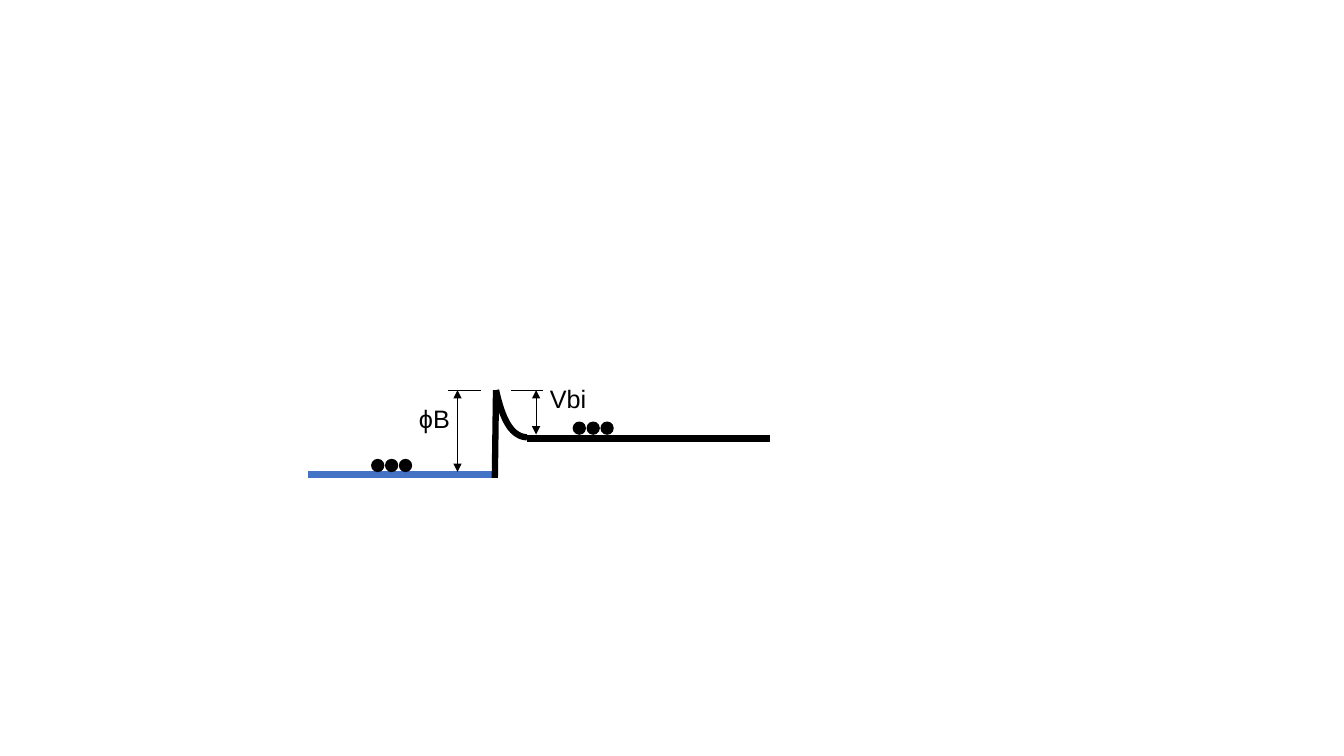
from typing import NamedTuple

from lxml.etree import SubElement
from pptx import Presentation
from pptx.dml.color import RGBColor
from pptx.enum.shapes import MSO_CONNECTOR, MSO_SHAPE
from pptx.enum.text import MSO_AUTO_SIZE
from pptx.oxml.ns import qn
from pptx.shapes.shapetree import GroupShapes
from pptx.util import Cm, Pt

BLACK, BLUE = "000000", "4472C4"
BAND_WIDTH, THIN_WIDTH = 4.5, 0.5
PEAK_Y = 9.83
BAND_Y = 11.05
DOT_SIZE, DOT_PITCH, DOTS_PER_GROUP = 0.3, 0.35, 3
CURVE_STEPS = 40


class Point(NamedTuple):
    x: float
    y: float


class Line(NamedTuple):
    start: Point
    end: Point
    width: float
    color: str = BLACK
    arrows: bool = False


class Label(NamedTuple):
    text: str
    left: float
    top: float
    width: float


PEAK = Point(12.5, PEAK_Y)
BENDING = (Point(13.28, 11.02), Point(12.8, 11), Point(12.62, 10.34), PEAK)

BANDS = [
    Line(Point(13.28, BAND_Y), Point(19.41, BAND_Y), BAND_WIDTH),
    Line(Point(7.77, 11.96), Point(12.52, 11.96), BAND_WIDTH, BLUE),
    Line(PEAK, Point(12.47, 12.04), BAND_WIDTH),
]
DIMENSIONS = [
    Line(Point(12.12, PEAK_Y), Point(11.3, PEAK_Y), THIN_WIDTH),
    Line(Point(13.69, PEAK_Y), Point(12.88, PEAK_Y), THIN_WIDTH),
    Line(Point(11.53, PEAK_Y), Point(11.53, 11.89), THIN_WIDTH, arrows=True),
    Line(Point(13.51, PEAK_Y), Point(13.51, 10.95), THIN_WIDTH, arrows=True),
]
ELECTRON_GROUPS = [Point(9.37, 11.58), Point(14.45, 10.64)]
LABELS = [Label("ϕB", 10.31, 10.03, 1.3), Label("Vbi", 13.61, 9.53, 1.45)]


def rgb(color: str) -> RGBColor:
    return RGBColor.from_string(color)


def draw_line(shapes: GroupShapes, line: Line) -> None:
    s = shapes.add_connector(MSO_CONNECTOR.STRAIGHT, *map(Cm, line.start + line.end))
    s.line.color.rgb = rgb(line.color)
    s.line.width = Pt(line.width)
    if line.arrows:
        ln = s.line._get_or_add_ln()
        for end in ("a:headEnd", "a:tailEnd"):
            SubElement(ln, qn(end), type="triangle")
    SubElement(s._element.spPr, qn("a:effectLst"))


def bezier(t: float) -> tuple[int, int]:
    """Point of the band-bending curve at parameter t, in EMU."""
    u = 1 - t
    weights = (u**3, 3 * u * u * t, 3 * u * t * t, t**3)
    x, y = (sum(w * v for w, v in zip(weights, axis)) for axis in zip(*BENDING))
    return Cm(x), Cm(y)


def draw_bending(shapes: GroupShapes) -> None:
    points = [bezier(i / CURVE_STEPS) for i in range(CURVE_STEPS + 1)]
    builder = shapes.build_freeform(*points[0])
    builder.add_line_segments(points[1:], close=False)
    s = builder.convert_to_shape()
    s.shadow.inherit = False
    s.fill.background()
    s.line.color.rgb = rgb(BLACK)
    s.line.width = Pt(BAND_WIDTH)


def draw_electrons(shapes: GroupShapes, first: Point) -> None:
    for i in range(DOTS_PER_GROUP):
        s = shapes.add_shape(MSO_SHAPE.OVAL, Cm(first.x + i * DOT_PITCH), Cm(first.y),
                             Cm(DOT_SIZE), Cm(DOT_SIZE))
        s.shadow.inherit = False
        s.fill.solid()
        s.fill.fore_color.rgb = rgb(BLACK)
        s.line.color.rgb = rgb(BLACK)
        s.line.width = Pt(1)


def draw_label(shapes: GroupShapes, label: Label) -> None:
    s = shapes.add_textbox(Cm(label.left), Cm(label.top), Cm(label.width), Cm(1.02))
    tf = s.text_frame
    tf.word_wrap = False
    tf.auto_size = MSO_AUTO_SIZE.SHAPE_TO_FIT_TEXT
    p = tf.paragraphs[0]
    p.text = label.text
    p.font.name = "Arial"
    p.font.size = Pt(18)
    p.font.color.rgb = rgb(BLACK)


def main() -> None:
    prs = Presentation()
    prs.slide_width, prs.slide_height = Cm(33.87), Cm(19.05)
    slide = prs.slides.add_slide(prs.slide_layouts[6])
    shapes = slide.shapes.add_group_shape().shapes
    for band in BANDS:
        draw_line(shapes, band)
    draw_bending(shapes)
    for first in ELECTRON_GROUPS:
        draw_electrons(shapes, first)
    for dimension in DIMENSIONS:
        draw_line(shapes, dimension)
    for label in LABELS:
        draw_label(shapes, label)
    prs.save("out.pptx")


if __name__ == "__main__":
    main()
